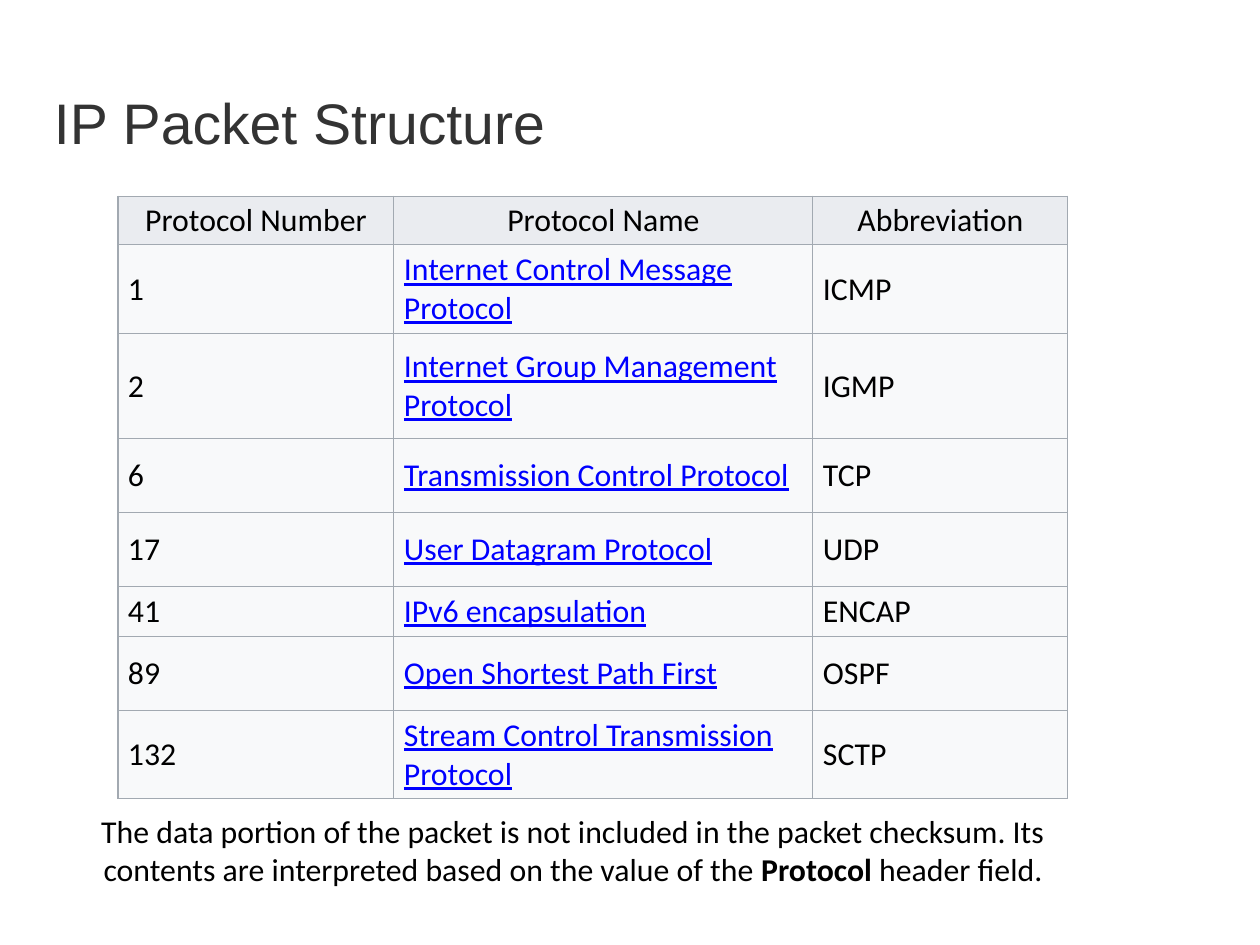
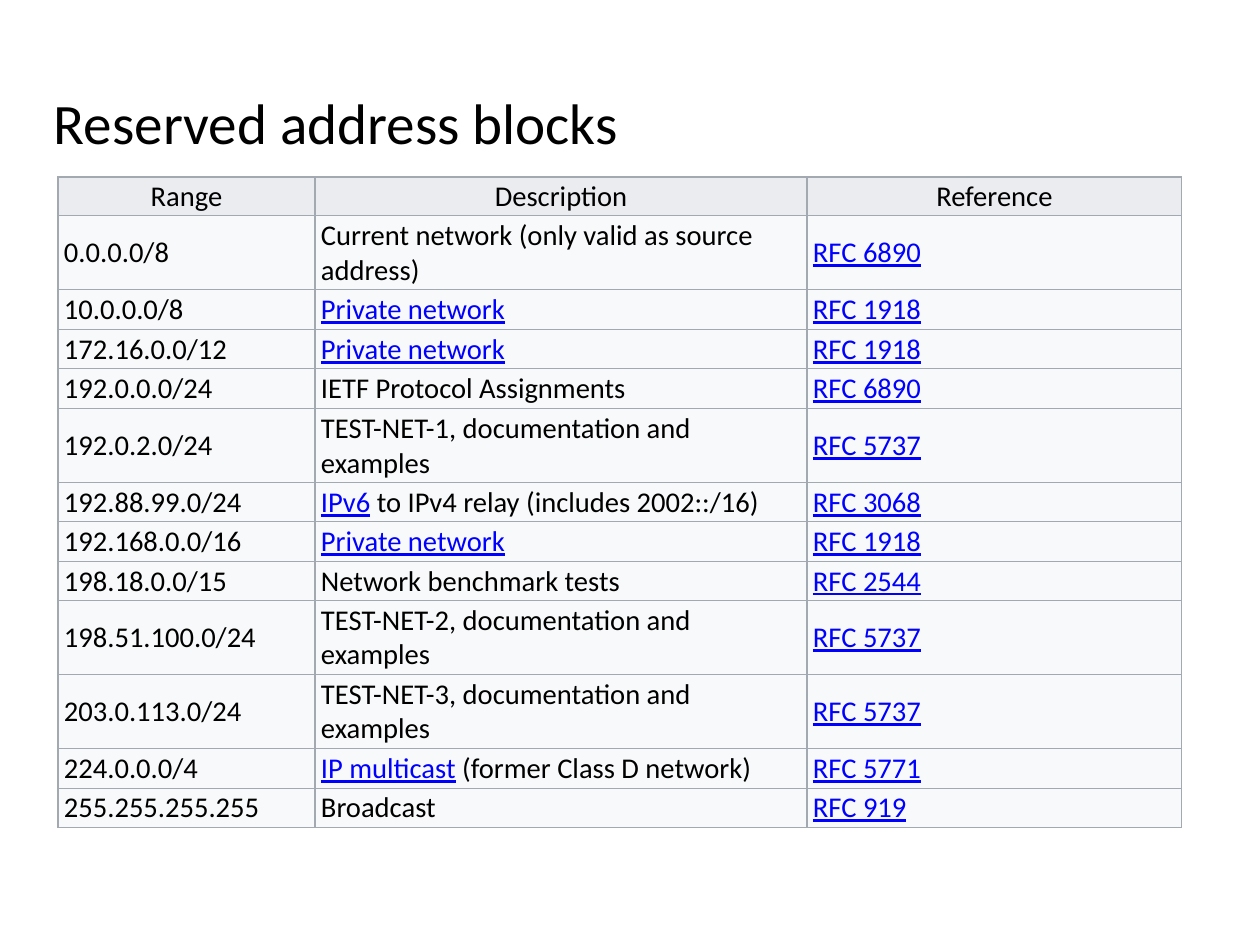
from lxml import etree
from pptx import Presentation
from pptx.dml.color import RGBColor
from pptx.enum.text import MSO_ANCHOR, PP_ALIGN
from pptx.oxml.ns import qn
from pptx.util import Pt

PX = 8000
LEFT, CENTER = PP_ALIGN.LEFT, PP_ALIGN.CENTER
TOP, MIDDLE = MSO_ANCHOR.TOP, MSO_ANCHOR.MIDDLE
BLACK, GREY, BLUE = "000000", "333333", "0000FF"
HEAD, BODY, BORDER = "EAECF0", "F8F9FA", "A2A9B1"


def rgb(value):
    """Turn a hex string into a colour."""
    return RGBColor.from_string(value)


def link(text):
    """Return a run that looks like a link."""
    return text, {"color": BLUE, "underline": True}


def write(tf, text, align=LEFT, **base):
    """Write a string, or a list of strings and formatted runs, as one paragraph."""
    p = tf.paragraphs[0]
    p.alignment = align
    for part in text if isinstance(text, list) else [text]:
        words, own = part if isinstance(part, tuple) else (part, {})
        add_run(p, words, **{**base, **own})


def add_run(p, text, size=20, font="Calibri", color=BLACK, bold=False, underline=False):
    """Add one formatted run to a paragraph."""
    r = p.add_run()
    r.text = text
    r.font.size = Pt(size)
    r.font.name = font
    r.font.color.rgb = rgb(color)
    r.font.bold = bold
    r.font.underline = underline


def set_margins(box, dx, dy):
    """Set the margins of a cell or text frame in pixels."""
    box.margin_left = box.margin_right = dx * PX
    box.margin_top = box.margin_bottom = dy * PX


def add_borders(cell):
    """Draw a thin line on all four sides of a cell."""
    tcPr = cell._tc.get_or_add_tcPr()
    for side in ("lnL", "lnR", "lnT", "lnB"):
        ln = etree.SubElement(tcPr, qn("a:" + side), w=str(Pt(0.75)))
        fill = etree.SubElement(ln, qn("a:solidFill"))
        etree.SubElement(fill, qn("a:srgbClr"), val=BORDER)


class Deck:
    """Hold the presentation, its shared style and the current slide."""

    def __init__(self, width, height):
        """Start a presentation of the given size."""
        self.prs = Presentation()
        self.prs.slide_width = width * PX
        self.prs.slide_height = height * PX

    def slide(self, title, **style):
        """Add a blank slide with a title."""
        self.s = self.prs.slides.add_slide(self.prs.slide_layouts[6])
        self.text(title, 54, 81, 1053, 81, anchor=MIDDLE, size=36, **style)

    def text(self, text, x, y, w, h, margins=(0, 0), anchor=TOP, **style):
        """Add a wrapped text box."""
        sp = self.s.shapes.add_textbox(x * PX, y * PX, w * PX, h * PX)
        tf = sp.text_frame
        tf.word_wrap = True
        tf.vertical_anchor = anchor
        set_margins(tf, *margins)
        write(tf, text, **style)

    def table(self, rows, xs, ys, margins, size):
        """Add a bordered table whose grid lines lie at xs and ys."""
        frame = self.s.shapes.add_table(
            len(rows), len(rows[0]), xs[0] * PX, ys[0] * PX,
            (xs[-1] - xs[0]) * PX, (ys[-1] - ys[0]) * PX)
        table = frame.table
        table.first_row = table.horz_banding = False
        for col, a, b in zip(table.columns, xs, xs[1:]):
            col.width = (b - a) * PX
        for row, a, b in zip(table.rows, ys, ys[1:]):
            row.height = (b - a) * PX
        for i, row in enumerate(rows):
            for j, text in enumerate(row):
                cell = table.cell(i, j)
                cell.vertical_anchor = MIDDLE
                set_margins(cell, *margins)
                add_borders(cell)
                cell.fill.solid()
                cell.fill.fore_color.rgb = rgb(BODY if i else HEAD)
                write(cell.text_frame, text, align=LEFT if i else CENTER, size=size)


PROTOCOLS = [
    ("1", "Internet Control Message Protocol", "ICMP"),
    ("2", "Internet Group Management Protocol", "IGMP"),
    ("6", "Transmission Control Protocol", "TCP"),
    ("17", "User Datagram Protocol", "UDP"),
    ("41", "IPv6 encapsulation", "ENCAP"),
    ("89", "Open Shortest Path First", "OSPF"),
    ("132", "Stream Control Transmission Protocol", "SCTP"),
]
PRIVATE = [link("Private network")]
BLOCKS = [
    ("0.0.0.0/8", "Current network (only valid as source address)", 6890),
    ("10.0.0.0/8", PRIVATE, 1918),
    ("172.16.0.0/12", PRIVATE, 1918),
    ("192.0.0.0/24", "IETF Protocol Assignments", 6890),
    ("192.0.2.0/24", "TEST-NET-1, documentation and examples", 5737),
    ("192.88.99.0/24", [link("IPv6"), "\u00a0to IPv4 relay (includes 2002::/16)"], 3068),
    ("192.168.0.0/16", PRIVATE, 1918),
    ("198.18.0.0/15", "Network benchmark tests", 2544),
    ("198.51.100.0/24", "TEST-NET-2, documentation and examples", 5737),
    ("203.0.113.0/24", "TEST-NET-3, documentation and examples", 5737),
    ("224.0.0.0/4", [link("IP multicast"), "\u00a0(former Class D network)"], 5771),
    ("255.255.255.255", "Broadcast", 919),
]

deck = Deck(1260, 945)

deck.slide("IP Packet Structure", font="Arial", color=GREY)
deck.table(
    [("Protocol Number", "Protocol Name", "Abbreviation")]
    + [(number, [link(name)], short) for number, name, short in PROTOCOLS],
    xs=[118, 394, 813, 1068],
    ys=[196, 245, 334, 439, 513, 587, 637, 711, 799],
    margins=(10, 5), size=20)
deck.text(
    ["The data portion of the packet is not included in the packet checksum. "
     "Its contents are interpreted based on the value of the ",
     ("Protocol", {"bold": True}), " header field."],
    40, 806, 1066, 88, margins=(11, 6), align=CENTER)

deck.slide("Reserved address blocks")
deck.table(
    [("Range", "Description", "Reference")]
    + [(block, use, [link(f"RFC {rfc}")]) for block, use, rfc in BLOCKS],
    xs=[58, 315, 807, 1182],
    ys=[177, 216, 290, 330, 369, 409, 483, 522, 562, 601, 675, 749, 789, 828],
    margins=(6, 2), size=18)

deck.prs.save("out.pptx")
